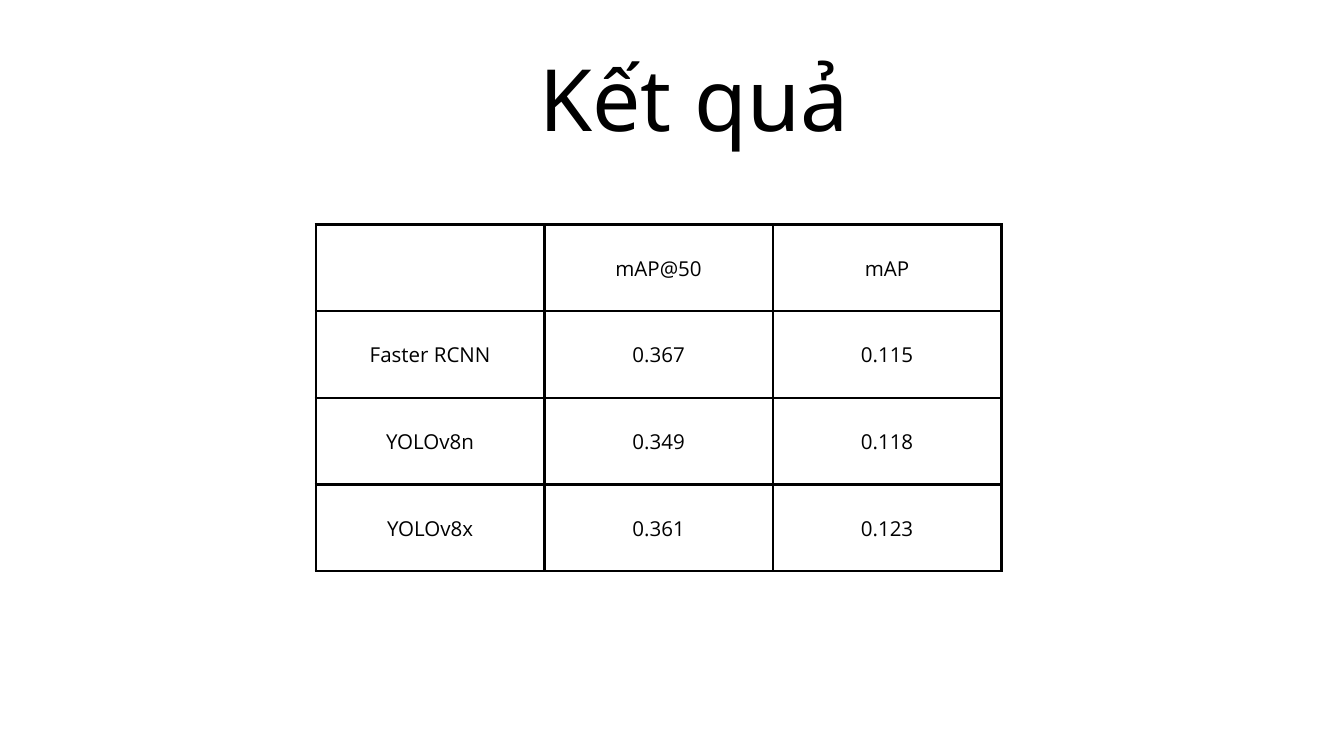
from dataclasses import dataclass

from lxml.etree import SubElement
from pptx import Presentation
from pptx.dml.color import RGBColor
from pptx.enum.text import MSO_ANCHOR as Anchor, MSO_AUTO_SIZE as AutoSize, PP_ALIGN as Align
from pptx.oxml.ns import qn
from pptx.slide import Slide
from pptx.table import _Cell as Cell
from pptx.text.text import _Paragraph as Paragraph
from pptx.util import Pt

EMU_PER_PX = 9144  # 100 px to the inch


def px(length: int) -> int:
    return length * EMU_PER_PX


@dataclass(frozen=True)
class TextStyle:
    font: str
    size: float
    leading: float


@dataclass(frozen=True)
class Theme:
    ink: str = "000000"
    paper: str = "FFFFFF"
    border_pt: int = 3
    title: TextStyle = TextStyle("Noto Sans", 92, 128.8)
    body: TextStyle = TextStyle("Open Sans", 22, 30.8)


@dataclass(frozen=True)
class Box:
    left: int
    top: int
    width: int
    height: int

    def emu(self) -> tuple[int, int, int, int]:
        return px(self.left), px(self.top), px(self.width), px(self.height)


@dataclass(frozen=True)
class ModelScore:
    model: str
    map_50: str
    map_all: str

    def cells(self) -> tuple[str, str, str]:
        return self.model, self.map_50, self.map_all


THEME = Theme()
SLIDE_WIDTH, SLIDE_HEIGHT = 2000, 1125
TITLE_BOX = Box(748, 42, 569, 171)
SCORES_BOX = Box(470, 334, 1020, 516)
CELL_INSET = 21

HEADER = ("", "mAP@50", "mAP")
SCORES = (
    ModelScore("Faster RCNN", "0.367", "0.115"),
    ModelScore("YOLOv8n", "0.349", "0.118"),
    ModelScore("YOLOv8x", "0.361", "0.123"),
)


def write_line(paragraph: Paragraph, text: str, style: TextStyle) -> None:
    paragraph.alignment = Align.CENTER
    paragraph.line_spacing = Pt(style.leading)
    run = paragraph.add_run()
    run.text = text
    run.font.name = style.font
    run.font.size = Pt(style.size)
    run.font.bold = False
    run.font.color.rgb = RGBColor.from_string(THEME.ink)


def add_borders(cell: Cell) -> None:
    properties = cell._tc.get_or_add_tcPr()
    for side in ("a:lnL", "a:lnR", "a:lnT", "a:lnB"):
        line = SubElement(properties, qn(side), w=str(Pt(THEME.border_pt)))
        fill = SubElement(line, qn("a:solidFill"))
        SubElement(fill, qn("a:srgbClr"), val=THEME.ink)


def draw_cell(cell: Cell, text: str) -> None:
    cell.margin_left = cell.margin_right = px(CELL_INSET)
    cell.margin_top = cell.margin_bottom = px(CELL_INSET)
    cell.vertical_anchor = Anchor.MIDDLE
    add_borders(cell)
    cell.fill.background()
    if text:
        write_line(cell.text_frame.paragraphs[0], text, THEME.body)


def draw_scores(slide: Slide) -> None:
    rows = [HEADER, *(score.cells() for score in SCORES)]
    scores = slide.shapes.add_table(len(rows), len(HEADER), *SCORES_BOX.emu()).table
    scores.first_row = scores.horz_banding = False
    for row_index, row in enumerate(rows):
        for column_index, text in enumerate(row):
            draw_cell(scores.cell(row_index, column_index), text)


def draw_title(slide: Slide, text: str) -> None:
    title = slide.shapes.title
    title.left, title.top, title.width, title.height = TITLE_BOX.emu()
    frame = title.text_frame
    frame.margin_left = frame.margin_right = frame.margin_top = frame.margin_bottom = 0
    frame.vertical_anchor = Anchor.TOP
    frame.word_wrap = True
    frame.auto_size = AutoSize.SHAPE_TO_FIT_TEXT
    write_line(frame.paragraphs[0], text, THEME.title)


def main() -> None:
    deck = Presentation()
    deck.slide_width, deck.slide_height = px(SLIDE_WIDTH), px(SLIDE_HEIGHT)

    # Title Only layout on a plain background
    slide = deck.slides.add_slide(deck.slide_layouts[5])
    slide.background.fill.solid()
    slide.background.fill.fore_color.rgb = RGBColor.from_string(THEME.paper)

    # Heading and model comparison
    draw_title(slide, "Kết quả")
    draw_scores(slide)

    deck.save("out.pptx")


if __name__ == "__main__":
    main()
